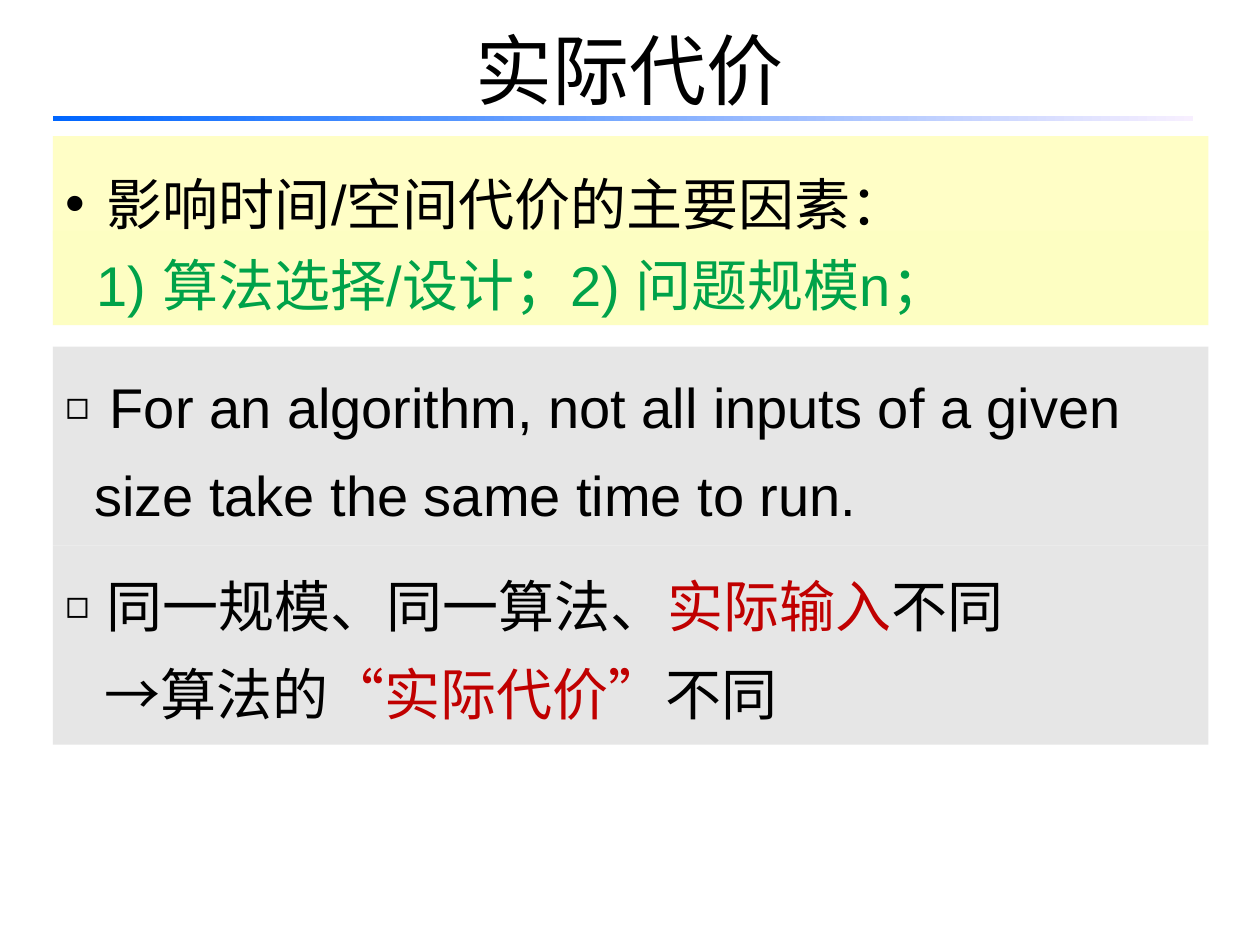
"""Build a slide on the factors behind the actual cost of an algorithm."""
from lxml import etree
from pptx import Presentation
from pptx.dml.color import RGBColor
from pptx.enum.shapes import MSO_SHAPE
from pptx.enum.text import MSO_ANCHOR, PP_ALIGN
from pptx.oxml.ns import qn
from pptx.util import Inches, Pt

RECTANGLE = MSO_SHAPE.RECTANGLE
TOP, MIDDLE = MSO_ANCHOR.TOP, MSO_ANCHOR.MIDDLE
LEFT, CENTER = PP_ALIGN.LEFT, PP_ALIGN.CENTER
FONT = "Arial"
COLORS = {"black": "000000", "red": "C00000", "green": "00A249",
          "grey": "E6E6E6", "yellow": "FFFEC6", "lemon": "FDFEC2",
          "blue": "0066FF", "lilac": "F7EFFF"}
MARGIN, WIDTH, HANG = 0.42, 9.17, 0.23


def add_span(para, text, size, color):
    span = para.add_run()
    span.text = text
    span.font.name = FONT
    span.font.size = Pt(size)
    span.font.color.rgb = RGBColor.from_string(COLORS[color])


def add_bar(slide, top, width, height):
    bar = slide.shapes.add_shape(RECTANGLE, Inches(MARGIN), Inches(top),
                                 Inches(width), Inches(height))
    bar.shadow.inherit = False
    bar.line.fill.background()
    return bar


deck = Presentation()
deck.slide_width, deck.slide_height = Inches(10), Inches(7.5)
slide = deck.slides.add_slide(deck.slide_layouts[5])

title = slide.shapes.title
title.left, title.top = Inches(0.5), Inches(-0.08)
title.width, title.height = Inches(9), Inches(1.25)
title.text_frame.vertical_anchor = MIDDLE
title_para = title.text_frame.paragraphs[0]
title_para.alignment = CENTER
add_span(title_para, "实际代价", 44, "black")

rule = add_bar(slide, 0.92, 9.05, 0.04)
rule.fill.gradient()
rule.fill.gradient_angle = 0
for stop, color, position in zip(rule.fill.gradient_stops, ("blue", "lilac"), (0, 1)):
    stop.color.rgb = RGBColor.from_string(COLORS[color])
    stop.position = position

# Each panel: top, height, fill, line spacing, paragraphs of (bullet, indent, spans)
panels = [
    (2.75, 1.58, "grey", 1.3, [
        ("◻", HANG, [(" For an algorithm, not all inputs of a given size "
                      "take the same time to run.", "black")])]),
    (4.33, 1.58, "grey", 1.3, [
        ("◻", HANG, [(" 同一规模、同一算法、", "black"), ("实际输入", "red"),
                     ("不同", "black")]),
        (None, 0.31, [("→算法的", "black"), ("“实际代价”", "red"),
                      ("不同", "black")])]),
    (1.08, 0.83, "yellow", 1.4, [
        ("•", HANG, [(" 影响时间/空间代价的主要因素：", "black")])]),
    (1.83, 0.75, "lemon", 1.2, [
        (None, 0.25, [("1) 算法选择/设计；2) 问题规模n；", "green")])]),
]
for top, height, fill, spacing, paras in panels:
    box = add_bar(slide, top, WIDTH, height)
    box.fill.solid()
    box.fill.fore_color.rgb = RGBColor.from_string(COLORS[fill])
    frame = box.text_frame
    frame.word_wrap = True
    frame.vertical_anchor = TOP
    for index, (bullet, indent, spans) in enumerate(paras):
        para = frame.add_paragraph() if index else frame.paragraphs[0]
        para.alignment = LEFT
        para.line_spacing = spacing
        properties = para._p.get_or_add_pPr()
        properties.set("marL", str(Inches(indent)))
        properties.set("indent", str(-Inches(indent) if bullet else 0))
        if bullet:
            share = "70000" if bullet == "◻" else "100000"
            etree.SubElement(properties, qn("a:buSzPct"), val=share)
            etree.SubElement(properties, qn("a:buFont"), typeface=FONT)
            etree.SubElement(properties, qn("a:buChar"), char=bullet)
        for text, color in spans:
            add_span(para, text, 32, color)

deck.save("out.pptx")
